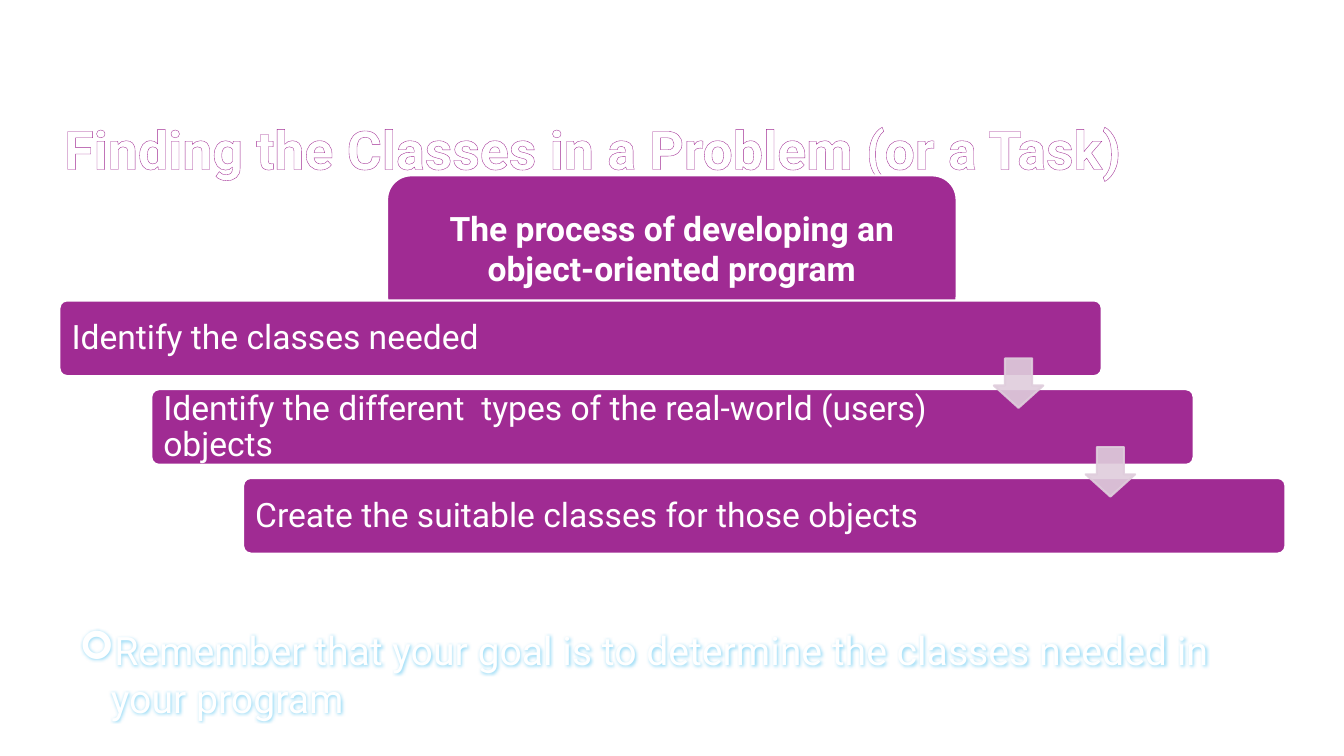
from lxml.etree import SubElement
from pptx import Presentation
from pptx.dml.color import RGBColor
from pptx.enum.shapes import MSO_SHAPE
from pptx.enum.text import MSO_ANCHOR, MSO_AUTO_SIZE, PP_ALIGN
from pptx.oxml import parse_xml
from pptx.oxml.ns import nsdecls, qn
from pptx.util import Pt

PURPLE = RGBColor(0xA0, 0x2B, 0x93)
PALE_PURPLE = RGBColor(0xDF, 0xCD, 0xDC)
GLOW_BLUE = RGBColor(0x0B, 0xA9, 0xEA)
WHITE = RGBColor(0xFF, 0xFF, 0xFF)
FONT = "Roboto"
INSET = Pt(7.2)

presentation = Presentation()
presentation.slide_width = Pt(960)
presentation.slide_height = Pt(540)
slide = presentation.slides.add_slide(presentation.slide_layouts[6])


def add_block(kind, left, top, width, height, fill, line):
    shape = slide.shapes.add_shape(kind, Pt(left), Pt(top), Pt(width), Pt(height))
    shape.shadow.inherit = False
    shape.fill.solid()
    shape.fill.fore_color.rgb = fill
    shape.line.color.rgb = line
    shape.line.width = Pt(1.5)
    return shape


def write(shape, text, size, bold=False, frame_format=None, paragraph_format=None):
    """Fill the shape with one paragraph and return that paragraph."""
    frame = shape.text_frame
    frame.word_wrap = True
    for name, value in (frame_format or {}).items():
        setattr(frame, name, value)
    paragraph = frame.paragraphs[0]
    for name, value in (paragraph_format or {}).items():
        setattr(paragraph, name, value)
    run = paragraph.add_run()
    run.text = text
    for name, value in {"name": FONT, "size": Pt(size), "bold": bold}.items():
        setattr(run.font, name, value)
    run.font.color.rgb = WHITE
    return paragraph


INSET_MIDDLE = {
    "vertical_anchor": MSO_ANCHOR.MIDDLE,
    "margin_left": INSET,
    "margin_top": INSET,
    "margin_right": INSET,
    "margin_bottom": INSET,
}

# Title: outlined letters, set as subscript
title = slide.shapes.add_textbox(Pt(21.6), Pt(21.6), Pt(875.5), Pt(79.2))
paragraph = write(
    title, "Finding the Classes in a Problem (or a Task)", 66, True,
    {"vertical_anchor": MSO_ANCHOR.MIDDLE, "auto_size": MSO_AUTO_SIZE.SHAPE_TO_FIT_TEXT},
    {"line_spacing": 1.5, "space_after": Pt(4)},
)
paragraph._p.get_or_add_pPr().set("marL", str(Pt(17.3)))
title_properties = paragraph.runs[0].font._element
title_properties.set("baseline", "-25000")
title_properties.insert(0, parse_xml(
    f'<a:ln {nsdecls("a")} w="{Pt(0.8)}"><a:solidFill><a:srgbClr val="{PURPLE}"/>'
    "</a:solidFill></a:ln>"
))

# Process heading
heading = add_block(MSO_SHAPE.ROUNDED_RECTANGLE, 276.5, 125.3, 406.8, 103.7, PURPLE, WHITE)
write(heading, "The process of developing an object-oriented program", 24, True,
      INSET_MIDDLE, {"alignment": PP_ALIGN.CENTER})

# Staggered steps
STEP_LEFT, STEP_TOP = 42.5, 214.6
STEP_RIGHTWARD, STEP_DOWN = 65.6, 63.4
steps = [
    ("Identify the classes needed", 685.4),
    ("Identify the different  types of the real-world (users) objects", 640),
    ("Create the suitable classes for those objects", 640),
]
for index, (text, text_width) in enumerate(steps):
    left = STEP_LEFT + index * STEP_RIGHTWARD
    top = STEP_TOP + index * STEP_DOWN
    bar = add_block(MSO_SHAPE.ROUNDED_RECTANGLE, left, top, 744.5, 54, PURPLE, WHITE)
    bar.adjustments[0] = 0.1
    label = slide.shapes.add_textbox(Pt(left + 1.5), Pt(top + 2), Pt(text_width), Pt(51))
    write(label, text, 24, False, INSET_MIDDLE, {"line_spacing": 0.9})

# Translucent arrows between steps
for index in range(len(steps) - 1):
    arrow = add_block(
        MSO_SHAPE.DOWN_ARROW, 709.9 + index * STEP_RIGHTWARD, 256 + index * STEP_DOWN,
        35.3, 35.3, PALE_PURPLE, PALE_PURPLE,
    )
    arrow.adjustments[0] = 0.55
    arrow.adjustments[1] = 0.45
    for color in arrow._element.spPr.iter(qn("a:srgbClr")):
        SubElement(color, qn("a:alpha"), val="90000")

# Glowing reminder
reminder = slide.shapes.add_textbox(Pt(49.7), Pt(444.2), Pt(860.4), Pt(74.9))
bullet_properties = reminder.text_frame.paragraphs[0]._p.get_or_add_pPr()
bullet_properties.set("marL", str(Pt(22.5)))
bullet_properties.set("indent", str(Pt(-22.5)))
SubElement(bullet_properties, qn("a:buFont"), typeface="Wingdings")
SubElement(bullet_properties, qn("a:buChar"), char="➢")
paragraph = write(
    reminder, "Remember that your goal is to determine the classes needed in your program", 28,
    frame_format={"auto_size": MSO_AUTO_SIZE.SHAPE_TO_FIT_TEXT},
)
reminder_properties = paragraph.runs[0].font._element
reminder_properties.find(qn("a:solidFill")).addnext(parse_xml(
    f'<a:effectLst {nsdecls("a")}><a:glow rad="{Pt(5)}"><a:srgbClr val="{GLOW_BLUE}">'
    '<a:alpha val="40000"/></a:srgbClr></a:glow></a:effectLst>'
))

presentation.save("out.pptx")
